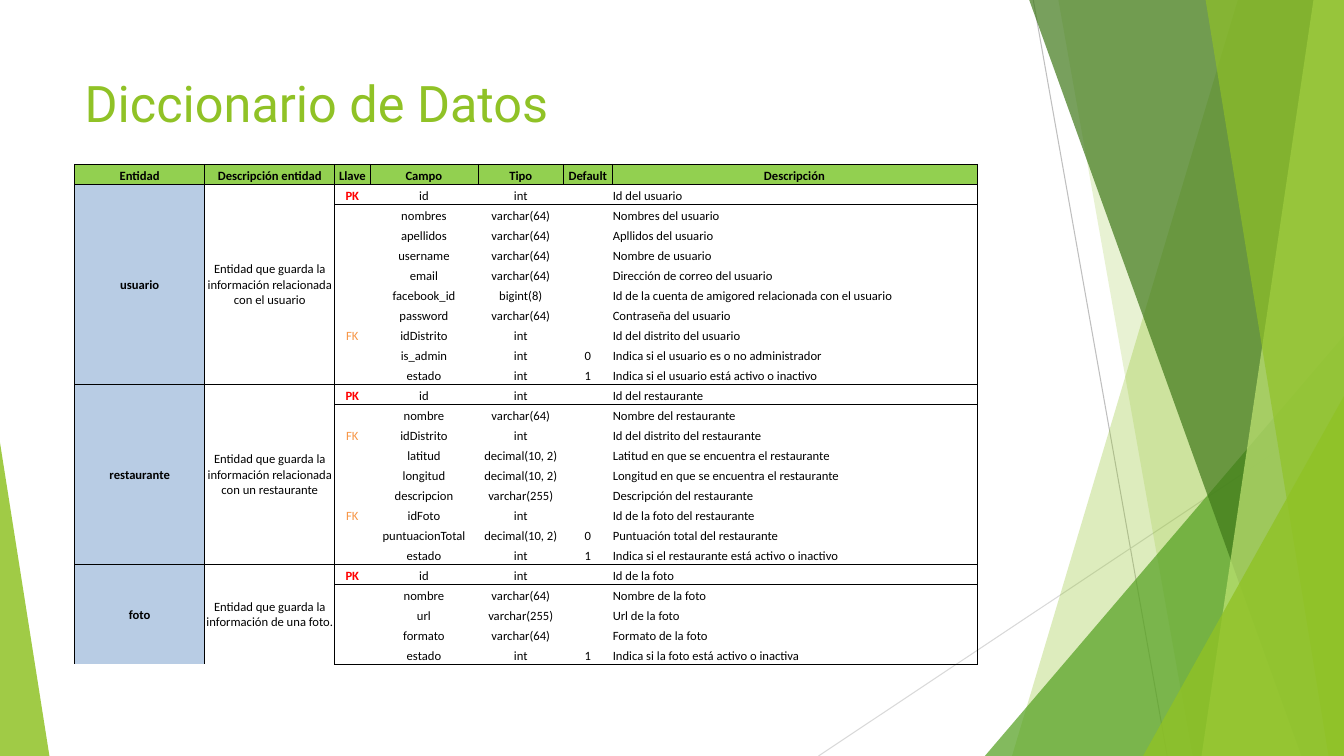
from lxml import etree
from pptx import Presentation
from pptx.dml.color import RGBColor
from pptx.enum.shapes import MSO_CONNECTOR, MSO_SHAPE
from pptx.enum.text import MSO_ANCHOR, MSO_AUTO_SIZE, PP_ALIGN
from pptx.oxml.ns import qn
from pptx.util import Inches, Pt

STRAIGHT = MSO_CONNECTOR.STRAIGHT
TRIANGLE = MSO_SHAPE.ISOSCELES_TRIANGLE
TOP, MIDDLE, BOTTOM = MSO_ANCHOR.TOP, MSO_ANCHOR.MIDDLE, MSO_ANCHOR.BOTTOM
LEFT, CENTER = PP_ALIGN.LEFT, PP_ALIGN.CENTER
FIXED_SIZE = MSO_AUTO_SIZE.NONE

LIME, HEADER_GREEN, ENTITY_BLUE = "90C226", "92D050", "B8CCE4"
BLACK = "000000"
KEY_COLORS = {"PK": "FF0000", "FK": "F79646"}
PLAIN_TABLE = "{2D5ABB26-0587-4C30-8999-92F81FD0307C}"

HEADERS = ["Entidad", "Descripción entidad", "Llave", "Campo", "Tipo", "Default", "Descripción"]
COLUMN_SHARES = [9.68, 9.68, 2.62, 8.03, 6.38, 3.6, 27.15]
ROW_SHARE = 2.65
ENTITIES = [
    ("usuario", "Entidad que guarda la información relacionada con el usuario", [
        ("PK", "id", "int", "", "Id del usuario"),
        ("", "nombres", "varchar(64)", "", "Nombres del usuario"),
        ("", "apellidos", "varchar(64)", "", "Apllidos del usuario"),
        ("", "username", "varchar(64)", "", "Nombre de usuario"),
        ("", "email", "varchar(64)", "", "Dirección de correo del usuario"),
        ("", "facebook_id", "bigint(8)", "", "Id de la cuenta de amigored relacionada con el usuario"),
        ("", "password", "varchar(64)", "", "Contraseña del usuario"),
        ("FK", "idDistrito", "int", "", "Id del distrito del usuario"),
        ("", "is_admin", "int", "0", "Indica si el usuario es o no administrador"),
        ("", "estado", "int", "1", "Indica si el usuario está activo o inactivo"),
    ]),
    ("restaurante", "Entidad que guarda la información relacionada con un restaurante", [
        ("PK", "id", "int", "", "Id del restaurante"),
        ("", "nombre", "varchar(64)", "", "Nombre del restaurante"),
        ("FK", "idDistrito", "int", "", "Id del distrito del restaurante"),
        ("", "latitud", "decimal(10, 2)", "", "Latitud en que se encuentra el restaurante"),
        ("", "longitud", "decimal(10, 2)", "", "Longitud en que se encuentra el restaurante"),
        ("", "descripcion", "varchar(255)", "", "Descripción del restaurante"),
        ("FK", "idFoto", "int", "", "Id de la foto del restaurante"),
        ("", "puntuacionTotal", "decimal(10, 2)", "0", "Puntuación total del restaurante"),
        ("", "estado", "int", "1", "Indica si el restaurante está activo o inactivo"),
    ]),
    ("foto", "Entidad que guarda la información de una foto.", [
        ("PK", "id", "int", "", "Id de la foto"),
        ("", "nombre", "varchar(64)", "", "Nombre de la foto"),
        ("", "url", "varchar(255)", "", "Url de la foto"),
        ("", "formato", "varchar(64)", "", "Formato de la foto"),
        ("", "estado", "int", "1", "Indica si la foto está activo o inactiva"),
    ]),
]


def color(hex_code):
    return RGBColor.from_string(hex_code)


class SlideBuilder:
    """Draws styled elements on one slide, placed by percentages of its size."""

    def __init__(self, deck):
        self.width, self.height = deck.slide_width, deck.slide_height
        self.slide = deck.slides.add_slide(deck.slide_layouts[5])
        self.shapes = self.slide.shapes

    def x(self, share):
        return round(self.width * share / 100)

    def y(self, share):
        return round(self.height * share / 100)

    def tint(self, shape, hex_code, opacity):
        shape.shadow.inherit = False
        shape.line.fill.background()
        shape.fill.solid()
        shape.fill.fore_color.rgb = color(hex_code)
        solid = shape.fill._xPr.find(qn("a:solidFill"))
        etree.SubElement(solid[0], qn("a:alpha"), val=str(opacity * 1000))

    def line(self, start, end, hex_code):
        ray = self.shapes.add_connector(
            STRAIGHT, self.x(start[0]), self.y(start[1]), self.x(end[0]), self.y(end[1]))
        ray.line.color.rgb = color(hex_code)
        ray.line.width = Pt(0.75)
        etree.SubElement(ray._element.spPr, qn("a:effectLst"))

    def band(self, top, bottom, hex_code, opacity):
        outline = self.shapes.build_freeform(self.x(top), 0)
        outline.add_line_segments(
            [(self.width, 0), (self.width, self.height), (self.x(bottom), self.height)])
        self.tint(outline.convert_to_shape(), hex_code, opacity)

    def corner(self, left, top, width, apex, hex_code, opacity):
        wedge = self.shapes.add_shape(
            TRIANGLE, self.x(left), self.y(top), self.x(width), self.y(100 - top))
        wedge.adjustments[0] = apex
        self.tint(wedge, hex_code, opacity)

    def title(self, text, left, top, width, height):
        heading = self.shapes.title
        self.shapes._spTree.append(heading._element)
        heading.left, heading.top = self.x(left), self.y(top)
        heading.width, heading.height = self.x(width), self.y(height)
        frame = heading.text_frame
        frame.text = text
        frame.auto_size, frame.word_wrap = FIXED_SIZE, True
        frame.vertical_anchor = TOP
        frame.paragraphs[0].alignment = LEFT
        font = frame.paragraphs[0].runs[0].font
        font.name, font.size, font.color.rgb = "Roboto", Pt(36), color(LIME)

    def cell(self, cell, text, borders="", fill=None, bold=False, ink=BLACK,
             align=CENTER, anchor=BOTTOM):
        cell.margin_left = cell.margin_right = cell.margin_top = Pt(0.6)
        cell.margin_bottom = 0
        cell.vertical_anchor = anchor
        for side in (s for s in "LRTB" if s in borders):
            edge = etree.SubElement(cell._tc.tcPr, qn("a:ln" + side), w=str(Pt(0.5)))
            paint = etree.SubElement(edge, qn("a:solidFill"))
            etree.SubElement(paint, qn("a:srgbClr"), val=BLACK)
        if fill:
            cell.fill.solid()
            cell.fill.fore_color.rgb = color(fill)
        else:
            cell.fill.background()
        paragraph = cell.text_frame.paragraphs[0]
        paragraph.text = text
        paragraph.alignment = align
        for run in paragraph.runs:
            font = run.font
            font.name, font.size, font.bold = "Calibri", Pt(9), bold
            font.color.rgb = color(ink)
        etree.SubElement(paragraph._p, qn("a:endParaRPr"), sz="900")

    def dictionary(self, left, top):
        row_count = 1 + sum(len(fields) for _, _, fields in ENTITIES)
        table = self.shapes.add_table(
            row_count, len(HEADERS), self.x(left), self.y(top),
            self.x(sum(COLUMN_SHARES)), self.y(ROW_SHARE * row_count)).table
        table.first_row = table.horz_banding = False
        table._tbl.tblPr.find(qn("a:tableStyleId")).text = PLAIN_TABLE
        for column, share in zip(table.columns, COLUMN_SHARES):
            column.width = self.x(share)
        for row in table.rows:
            row.height = self.y(ROW_SHARE)
        for index, header in enumerate(HEADERS):
            self.cell(table.cell(0, index), header, "LRTB", HEADER_GREEN, bold=True)
        first = 1
        for entity in ENTITIES:
            self.entity(table, first, *entity)
            first += len(entity[2])

    def entity(self, table, first, name, summary, fields):
        last = first + len(fields) - 1
        closes_table = last == len(table.rows) - 1
        for row, field in enumerate(fields, first):
            edges = "T" * (row == first) + "B" * (row == last)
            self.cell(table.cell(row, 0), name if row == first else "", "LR" + edges,
                      ENTITY_BLUE, bold=True, anchor=MIDDLE)
            summary_edges = edges.replace("B", "") if closes_table else edges
            self.cell(table.cell(row, 1), summary if row == first else "",
                      "L" + summary_edges, anchor=MIDDLE)
            key, *details, description = field
            self.cell(table.cell(row, 2), key, edges, bold=key == "PK",
                      ink=KEY_COLORS.get(key, BLACK))
            for index, detail in enumerate(details, 3):
                self.cell(table.cell(row, index), detail, edges)
            self.cell(table.cell(row, 6), description, "R" + edges, align=LEFT)
        for index in (0, 1):
            table.cell(first, index).merge(table.cell(last, index))


def main():
    deck = Presentation()
    deck.slide_width, deck.slide_height = Inches(13.33), Inches(7.5)
    page = SlideBuilder(deck)
    page.line((76.88, 0), (86.85, 100), "BFBFBF")
    page.line((100, 53.73), (60.9, 100), "D9D9D9")
    page.band(92.1, 75.3, LIME, 30)
    page.band(78.75, 88.73, LIME, 20)
    page.corner(73.28, 44.4, 26.72, 1, "54A021", 72)
    page.band(76.58, 96.83, "3F7819", 70)
    page.band(97.73, 89.4, "C0E474", 70)
    page.band(89.7, 98.85, LIME, 65)
    page.corner(85.05, 52.4, 14.95, 1, LIME, 80)
    page.corner(0, 58.53, 3.68, 0, LIME, 85)
    page.title("Diccionario de Datos", 5.55, 8.93, 70.5, 19.2)
    page.dictionary(5.55, 21.73)
    deck.save("out.pptx")


if __name__ == "__main__":
    main()
